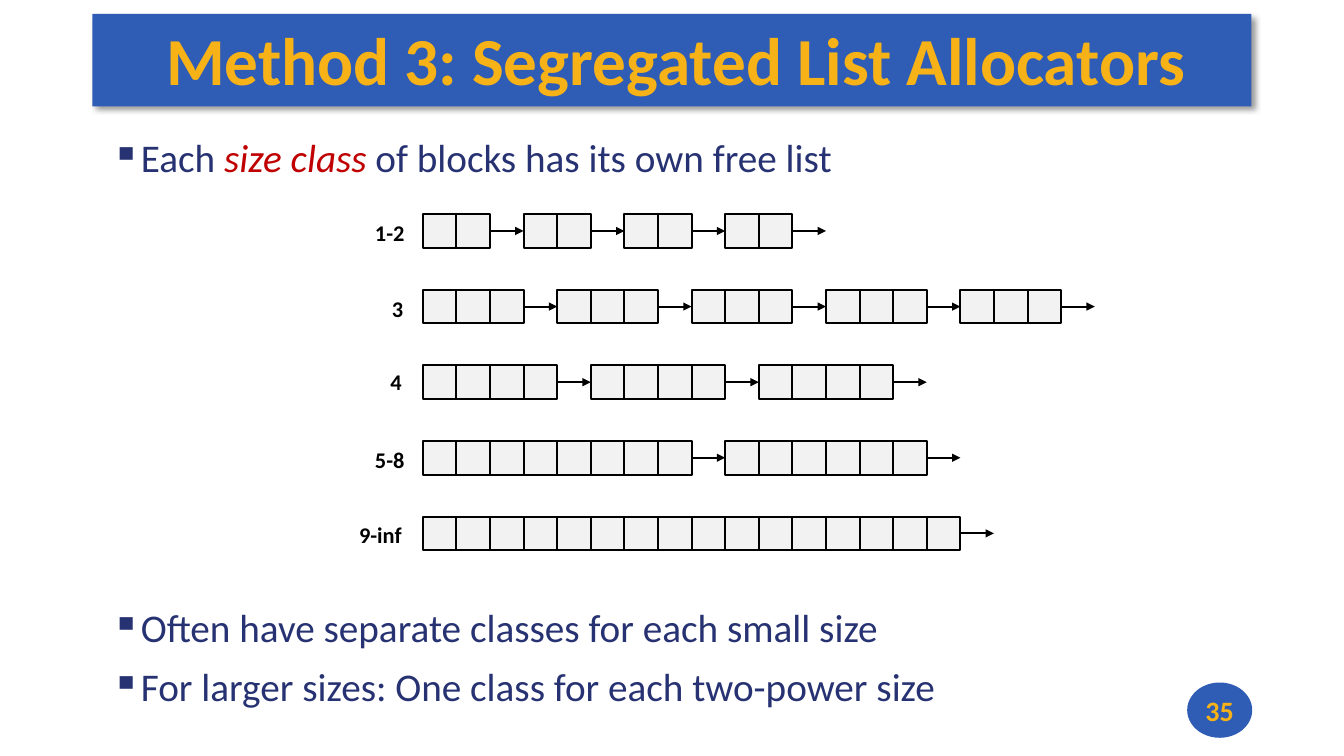
"""Builds the slide on segregated list allocators, with one free list per size class."""
from lxml import etree
from pptx import Presentation
from pptx.dml.color import RGBColor
from pptx.enum.shapes import MSO_CONNECTOR as CONNECTOR, MSO_SHAPE as SHAPE
from pptx.enum.text import MSO_ANCHOR as ANCHOR, MSO_AUTO_SIZE as AUTO_SIZE, PP_ALIGN as ALIGN
from pptx.oxml import parse_xml
from pptx.oxml.ns import nsdecls, qn
from pptx.util import Pt

COLORS = {"blue": "2F5CB5", "gold": "F7B217", "navy": "273272", "red": "C00000",
          "cell": "F2F2F2", "black": "000000"}
FONT = "Calibri"
CELL = 24
LIST_LEFT, LIST_TOP, LIST_PITCH = 302, 153, 54
LABEL_WIDTH, LABEL_HEIGHT = 70, 26.6

# Label, right edge of the label, upward shift of the label, cells in each block
FREE_LISTS = [
    ("1-2", 296, 0, [2] * 4),
    ("3", 295, 0, [3] * 5),
    ("4", 294, 1.5, [4] * 3),
    ("5-8", 296, 0, [8, 6]),
    ("9-inf", 294, 0, [16]),
]


def rgb(name):
    return RGBColor.from_string(COLORS[name])


def format_run(run, size, color, bold=False, italic=False):
    font = run.font
    font.name, font.size, font.bold, font.italic = FONT, Pt(size), bold, italic
    font.color.rgb = rgb(color)


def set_frame(text_frame, left=7.2, top=3.6, right=7.2, bottom=3.6, anchor=ANCHOR.TOP):
    text_frame.word_wrap = True
    text_frame.auto_size = AUTO_SIZE.NONE
    text_frame.vertical_anchor = anchor
    text_frame.margin_left, text_frame.margin_right = Pt(left), Pt(right)
    text_frame.margin_top, text_frame.margin_bottom = Pt(top), Pt(bottom)


def add_shape(slide, kind, left, top, width, height, fill, line=None):
    shape = slide.shapes.add_shape(kind, Pt(left), Pt(top), Pt(width), Pt(height))
    shape.fill.solid()
    shape.fill.fore_color.rgb = rgb(fill)
    if line:
        shape.line.color.rgb = rgb(line)
        shape.line.width = Pt(1.5)
    else:
        shape.line.fill.background()
    shape.shadow.inherit = False
    return shape


def add_title(slide, text):
    banner = add_shape(slide, SHAPE.RECTANGLE, 66, 10, 828, 66, "blue")
    banner._element.spPr.find(qn("a:effectLst")).append(parse_xml(
        f'<a:outerShdw {nsdecls("a")} blurRad="{Pt(4)}" dist="{Pt(3)}" dir="2700000">'
        f'<a:srgbClr val="{COLORS["black"]}"><a:alpha val="40000"/></a:srgbClr></a:outerShdw>'))
    title = slide.shapes.title
    title._element.addprevious(banner._element)
    title.left, title.top, title.width, title.height = Pt(66), Pt(8.6), Pt(828), Pt(66)
    set_frame(title.text_frame, 5.8, 2.2, 0, 2.2, ANCHOR.MIDDLE)
    title.text_frame.text = text
    paragraph = title.text_frame.paragraphs[0]
    paragraph.alignment = ALIGN.CENTER
    format_run(paragraph.runs[0], 48, "gold", bold=True)


def add_page_number(slide, number):
    badge = add_shape(slide, SHAPE.OVAL, 848, 487.5, 46.5, 39.5, "blue")
    set_frame(badge.text_frame, 0, 0, 0, 0, ANCHOR.MIDDLE)
    badge.text_frame.text = number
    paragraph = badge.text_frame.paragraphs[0]
    paragraph.alignment = ALIGN.CENTER
    format_run(paragraph.runs[0], 20, "gold", bold=True)


def add_bullets(slide, top, height, bullets):
    box = slide.shapes.add_textbox(Pt(72.7), Pt(top), Pt(770), Pt(height))
    text_frame = box.text_frame
    set_frame(text_frame)
    for index, pieces in enumerate(bullets):
        paragraph = text_frame.add_paragraph() if index else text_frame.paragraphs[0]
        paragraph.line_spacing = 0.95
        paragraph.space_before = Pt(10 if index else 0)
        properties = paragraph._p.get_or_add_pPr()
        properties.set("marL", str(Pt(18)))
        properties.set("indent", str(-Pt(18)))
        etree.SubElement(properties, qn("a:buChar"), char="▪")
        for text, color in pieces:
            run = paragraph.add_run()
            run.text = text
            format_run(run, 28, color, italic=color == "red")


def add_label(slide, text, right, top):
    box = slide.shapes.add_textbox(Pt(right - LABEL_WIDTH), Pt(top),
                                   Pt(LABEL_WIDTH), Pt(LABEL_HEIGHT))
    set_frame(box.text_frame)
    box.text_frame.text = text
    paragraph = box.text_frame.paragraphs[0]
    paragraph.alignment = ALIGN.RIGHT
    format_run(paragraph.runs[0], 16, "black", bold=True)


def add_arrow(slide, left, y):
    arrow = slide.shapes.add_connector(CONNECTOR.STRAIGHT, Pt(left), Pt(y), Pt(left + CELL), Pt(y))
    arrow.line.color.rgb = rgb("black")
    arrow.line.width = Pt(1.5)
    etree.SubElement(arrow.line._get_or_add_ln(), qn("a:tailEnd"), type="triangle")
    etree.SubElement(arrow._element.spPr, qn("a:effectLst"))


def add_free_list(slide, top, blocks):
    left = LIST_LEFT
    for cells in blocks:
        for _ in range(cells):
            add_shape(slide, SHAPE.RECTANGLE, left, top, CELL, CELL, "cell", "black")
            left += CELL
        add_arrow(slide, left, top + CELL / 2)
        left += CELL


def main():
    presentation = Presentation()
    presentation.slide_width, presentation.slide_height = Pt(960), Pt(540)
    slide = presentation.slides.add_slide(presentation.slide_layouts[5])
    add_title(slide, "Method 3: Segregated List Allocators")
    add_page_number(slide, "35")
    add_bullets(slide, 94.3, 40, [
        [("Each ", "navy"), ("size class ", "red"), ("of blocks has its own free list", "navy")],
    ])
    for row, (label, right, rise, blocks) in enumerate(FREE_LISTS):
        top = LIST_TOP + row * LIST_PITCH
        add_label(slide, label, right, top - rise)
        add_free_list(slide, top, blocks)
    add_bullets(slide, 430, 82, [
        [("Often have separate classes for each small size", "navy")],
        [("For larger sizes: One class for each two-power size", "navy")],
    ])
    presentation.save("out.pptx")


if __name__ == "__main__":
    main()
